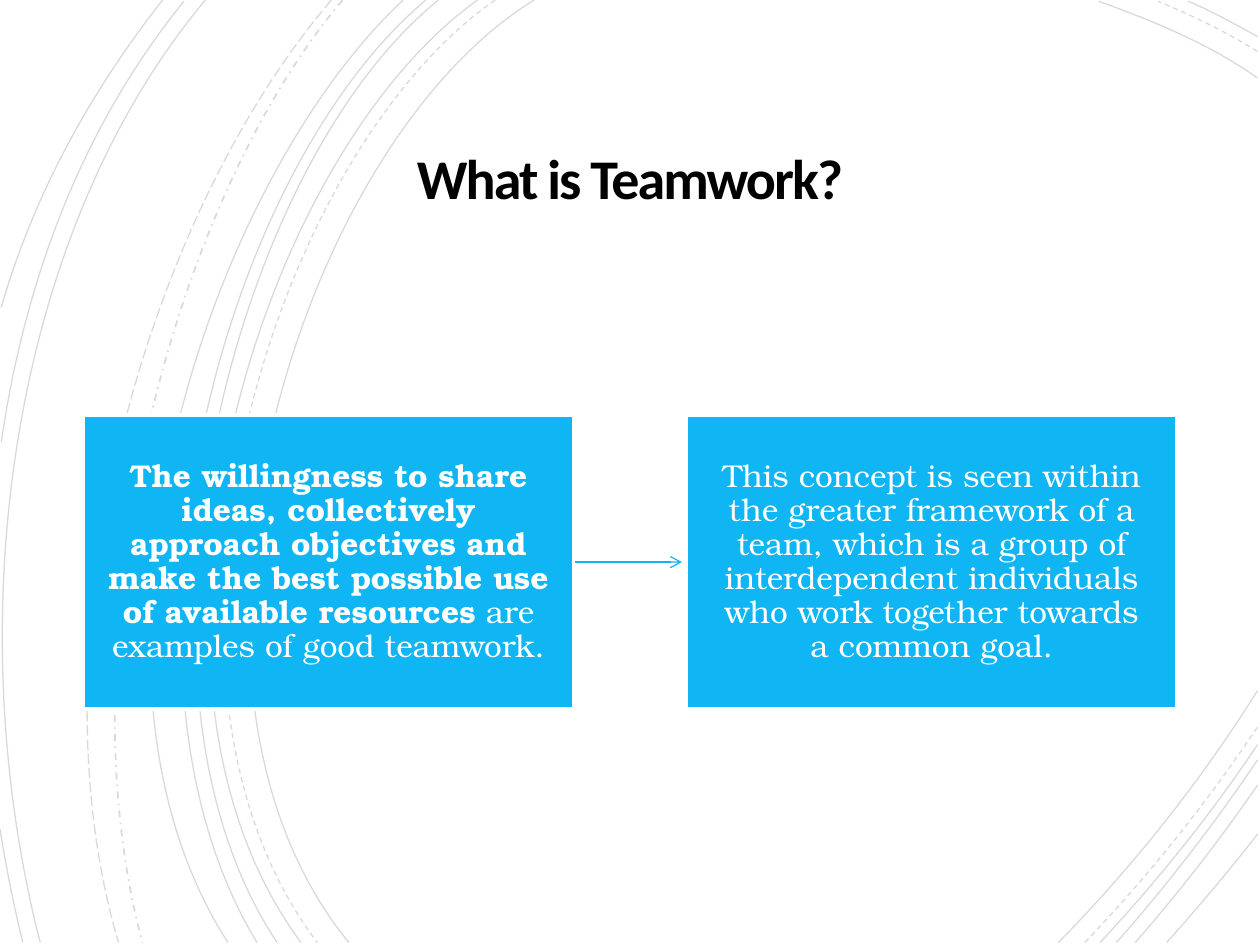
import dataclasses

import pptx
import pptx.dml.color
import pptx.enum.dml
import pptx.enum.shapes
import pptx.enum.text
import pptx.oxml.ns
import pptx.util
from lxml import etree

Pt = pptx.util.Pt
qn = pptx.oxml.ns.qn
RGB = pptx.dml.color.RGBColor.from_string
Dash = pptx.enum.dml.MSO_LINE


@dataclasses.dataclass(frozen=True)
class Theme:
    ink: str = "000000"
    paper: str = "FFFFFF"
    accent: str = "10B6F4"
    curve_alpha: int = 15
    title_font: str = "Calibri"
    body_font: str = "TeX Gyre Bonum"
    title_size: float = 32
    body_size: float = 18


BOTTOM, RIGHT = 538.6, 718.6

# Top x, two control points, bottom x, dash, line width
SWEEPS = [
    (305.3, (169.9, 82.8), (77, 388.8), 199.4, None, 0.75),
    (283, (153.4, 90), (66.2, 386.6), 181.4, Dash.DASH, 0.75),
    (272.9, (145.4, 91.4), (59, 386.6), 172.1, None, 0.75),
    (250.6, (131.8, 95.8), (59, 389.5), 158.4, None, 0.75),
    (243.4, (124.6, 99.4), (52.6, 383.8), 146.9, None, 0.75),
    (230.4, (117.4, 105.8), (28.8, 380.9), 130.3, None, 0.75),
    (195.8, (95, 119.5), (35.3, 366.5), 81.4, Dash.DASH_DOT, 1),
    (189.4, (85, 121.7), (15.1, 359.3), 67.7, Dash.LONG_DASH, 0.75),
    (117.4, (5.8, 133.2), (-24.5, 352.8), 23, None, 0.75),
]
# Four Bezier points of the curves that run off the left edge
LEFT_ARCS = [
    ((105.1, 0.7), (49.7, 69.1), (15.1, 154.1), (0.7, 252.7)),
    ((0, 473.8), (3.6, 496.1), (7.9, 517.7), (13, BOTTOM)),
    ((92.9, 0), (54, 49.7), (20.2, 108), (0.7, 175.7)),
]
# Right-edge y, two control points, top x, dash
TOP_ARCS = [
    (44.6, (690.5, 24.5), (657.4, 11.5), 627.8, None),
    (29.5, (700.6, 18), (680.4, 8.6), 661.7, Dash.DASH),
    (20.9, (705.6, 13.7), (692.6, 6.5), 679, None),
]
# Bottom x, two control points, right-edge y, dash
BOTTOM_ARCS = [
    (604.8, (645.8, 496.8), (685.4, 447.8), 394.6, None),
    (619.9, (654.5, 502.6), (688.3, 460.8), 415.4, Dash.DASH),
    (628.6, (660.2, 504.7), (691.2, 466.6), 425.5, None),
    (637.9, (666, 506.9), (693.4, 471.6), 434.2, None),
    (648.7, (673.2, 510.5), (697, 480.2), 448.6, None),
    (666.7, (684, 519.1), (702, 498.2), 476.6, None),
]


def bend(shape):
    """Turn a freeform's three line segments into one cubic Bezier segment."""
    segments = shape._element.findall(".//" + qn("a:lnTo"))
    cubic = etree.Element(qn("a:cubicBezTo"))
    segments[0].addprevious(cubic)
    for segment in segments:
        cubic.append(segment[0])
        segment.getparent().remove(segment)


def add_text(para, text, *, font, size, color, bold=False, spacing=None):
    span = para.add_run()
    span.text = text
    span.font.name = font
    span.font.size = Pt(size)
    span.font.bold = bold
    span.font.color.rgb = RGB(color)
    if spacing is not None:
        span.font._element.set("spc", str(round(spacing * 100)))


class SlideBuilder:
    def __init__(self, slide, theme):
        self.slide = slide
        self.theme = theme

    def frame_paragraph(self, shape, inset_x, inset_y, line_spacing):
        """Set up a centred text frame and return its first paragraph."""
        frame = shape.text_frame
        frame.word_wrap = True
        frame.auto_size = pptx.enum.text.MSO_AUTO_SIZE.NONE
        frame.vertical_anchor = pptx.enum.text.MSO_ANCHOR.MIDDLE
        frame.margin_left = frame.margin_right = Pt(inset_x)
        frame.margin_top = frame.margin_bottom = Pt(inset_y)
        para = frame.paragraphs[0]
        para.alignment = pptx.enum.text.PP_ALIGN.CENTER
        para.line_spacing = line_spacing
        return para

    def title(self, text, left, top, width, height):
        shape = self.slide.shapes.title
        shape.left, shape.top = Pt(left), Pt(top)
        shape.width, shape.height = Pt(width), Pt(height)
        para = self.frame_paragraph(shape, 18, 18, 0.85)
        add_text(para, text, font=self.theme.title_font, size=self.theme.title_size,
                 color=self.theme.ink, bold=True, spacing=-1.1)

    def curve(self, group, controls, dash=None, width=0.75):
        start, *rest = [(Pt(x), Pt(y)) for x, y in controls]
        builder = group.shapes.build_freeform(*start)
        builder.add_line_segments(rest, close=False)
        shape = builder.convert_to_shape()
        bend(shape)
        shape.shadow.inherit = False
        shape.fill.background()
        shape.line.width = Pt(width)
        shape.line.color.rgb = RGB(self.theme.ink)
        if dash is not None:
            shape.line.dash_style = dash
        color = shape.line._ln.find(".//" + qn("a:srgbClr"))
        etree.SubElement(color, qn("a:alpha"), val=str(self.theme.curve_alpha * 1000))

    def box(self, spans, left, top, width, height):
        """Add a filled box; spans is a list of (text, bold) pairs."""
        shape = self.slide.shapes.add_shape(
            pptx.enum.shapes.MSO_SHAPE.RECTANGLE, Pt(left), Pt(top), Pt(width), Pt(height))
        shape.shadow.inherit = False
        shape.fill.solid()
        shape.fill.fore_color.rgb = RGB(self.theme.accent)
        shape.line.color.rgb = RGB(self.theme.paper)
        shape.line.width = Pt(2)
        para = self.frame_paragraph(shape, 13.7, 14.4, 0.9)
        for text, bold in spans:
            add_text(para, text, font=self.theme.body_font, size=self.theme.body_size,
                     color=self.theme.paper, bold=bold)
        return shape

    def arrow(self, box, length):
        """Draw an arrow rightwards from the box, behind its outline."""
        start_x, y = box.left + box.width, box.top + box.height // 2
        line = self.slide.shapes.add_connector(
            pptx.enum.shapes.MSO_CONNECTOR.STRAIGHT, start_x, y, start_x + Pt(length), y)
        line.begin_connect(box, 3)
        line.line.color.rgb = RGB(self.theme.accent)
        line.line.width = Pt(0.75)
        etree.SubElement(line.line._ln, qn("a:tailEnd"), type="arrow")
        etree.SubElement(line._element.spPr, qn("a:effectLst"))
        box._element.addprevious(line._element)


def main():
    deck = pptx.Presentation()
    deck.slide_width, deck.slide_height = Pt(720), Pt(540)
    page = SlideBuilder(deck.slides.add_slide(deck.slide_layouts[5]), Theme())

    curves = page.slide.shapes.add_group_shape()
    for top_x, first, second, bottom_x, dash, width in SWEEPS:
        page.curve(curves, ((top_x, 0), first, second, (bottom_x, BOTTOM)), dash, width)
    for controls in LEFT_ARCS:
        page.curve(curves, controls)
    for edge_y, first, second, top_x, dash in TOP_ARCS:
        page.curve(curves, ((RIGHT, edge_y), first, second, (top_x, 0.7)), dash)
    for bottom_x, first, second, edge_y, dash in BOTTOM_ARCS:
        page.curve(curves, ((bottom_x, BOTTOM), first, second, (RIGHT, edge_y)), dash)

    page.title("What is Teamwork?", 104, 62.6, 512, 82.8)
    definition = page.box(
        [("The willingness to share ideas, collectively approach objectives and make "
          "the best possible use of available resources", True),
         (" are examples of good teamwork.", False)],
        47.7, 237.3, 280, 167.8)
    page.box(
        [("This concept is seen within the greater framework of a team, which is a group "
          "of interdependent individuals who work together towards a common goal.", False)],
        392.4, 237.3, 280, 167.8)
    page.arrow(definition, 62)
    deck.save("out.pptx")


if __name__ == "__main__":
    main()
